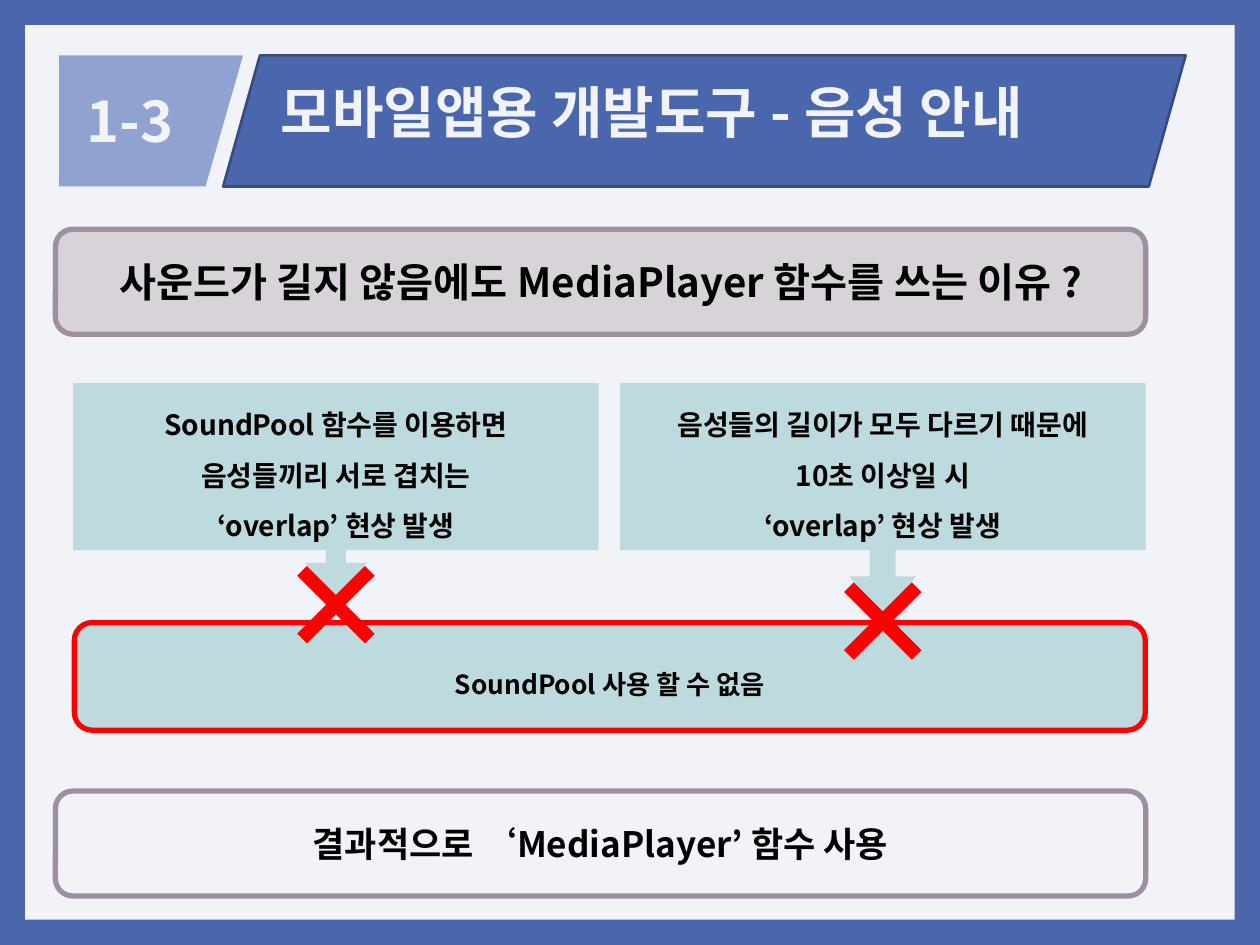
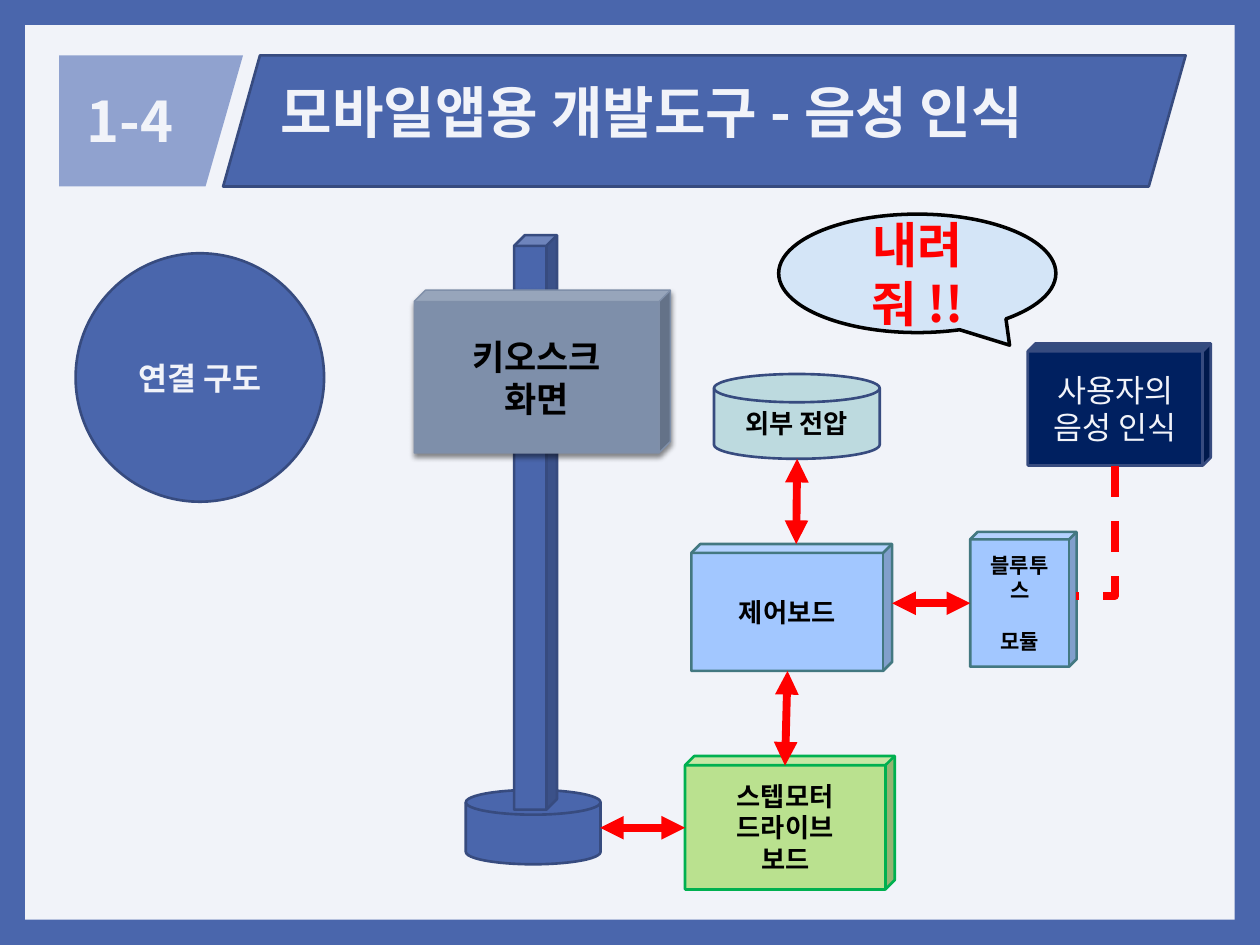
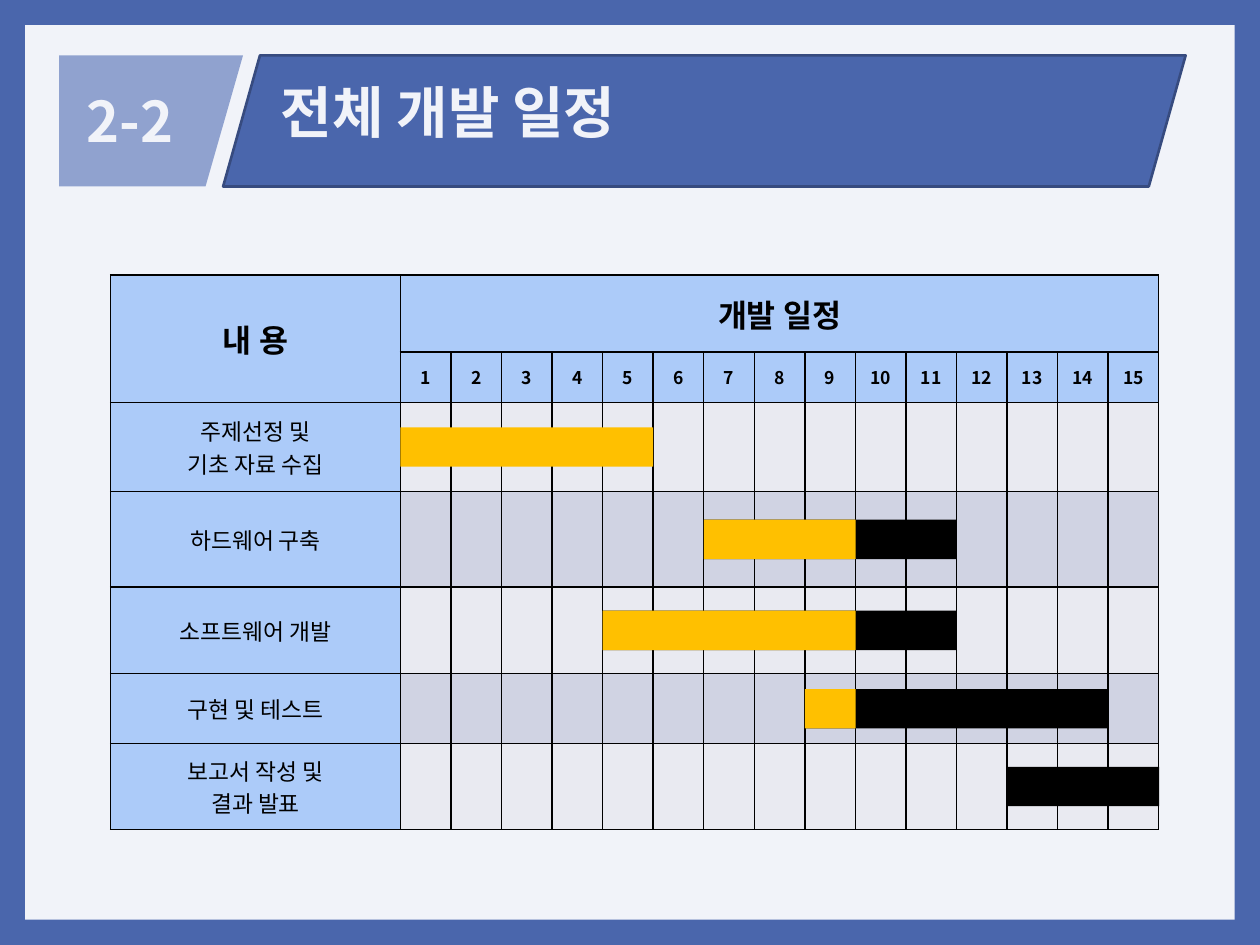
from lxml.etree import SubElement
from pptx import Presentation
from pptx.dml.color import RGBColor
from pptx.enum.dml import MSO_LINE
from pptx.enum.shapes import MSO_CONNECTOR, MSO_SHAPE
from pptx.enum.text import MSO_ANCHOR, PP_ALIGN
from pptx.oxml.ns import qn
from pptx.util import Pt

FONT = "Noto Sans CJK KR"
C = {
    "blue": "4A66AC", "edge": "374B7F", "panel": "F1F3F9", "tab": "90A2CF",
    "black": "000000", "red": "FF0000", "mauve": "9D90A0", "pale_mauve": "D8D3D9",
    "teal": "BDDADF", "sky": "A2C7FF", "sky_edge": "437881", "lime": "BAE18F",
    "green": "00B050", "steel": "7E8FAA", "steel_edge": "7F8FA9", "navy": "002060",
    "bubble": "D4E5F7", "header": "ACCBF9", "row_light": "E9EAF1",
    "row_dark": "D0D3E3", "done": "FFC000",
}
C = {name: RGBColor.from_string(value) for name, value in C.items()}


def write(tf, text, size, color="black", bold=True, align=PP_ALIGN.CENTER, spacing=None):
    """Fill a text frame, one paragraph per line of text."""
    tf.word_wrap = True
    for i, line in enumerate(text.split("\n")):
        p = tf.add_paragraph() if i else tf.paragraphs[0]
        p.alignment = align
        p.line_spacing = spacing
        r = p.add_run()
        r.text = line
        for key, value in {"size": Pt(size), "bold": bold, "name": FONT}.items():
            setattr(r.font, key, value)
        r.font.color.rgb = C[color]
        SubElement(r.font._element, qn("a:ea"), typeface=FONT)


def draw(s, kind, box, fill=None, line=None, width=1.5, adj=(), **text):
    """Add a preset shape; box is left, top, width, height in points."""
    sp = s.shapes.add_shape(kind, *map(Pt, box))
    sp.shadow.inherit = False
    for i, value in enumerate(adj):
        sp.adjustments[i] = value
    if fill:
        sp.fill.solid()
        sp.fill.fore_color.rgb = C[fill]
    else:
        sp.fill.background()
    if line:
        sp.line.color.rgb = C[line]
        sp.line.width = Pt(width)
    else:
        sp.line.fill.background()
    if text:
        write(sp.text_frame, **text)
    return sp


prs = Presentation()
prs.slide_width, prs.slide_height = Pt(720), Pt(540)
background = prs.slide_master.background.fill
background.solid()
background.fore_color.rgb = C["blue"]

# Shared frame and title band
slides = []
for number, title in [("1-3", "모바일앱용 개발도구 - 음성 안내"),
                      ("1-4", "모바일앱용 개발도구 - 음성 인식"),
                      ("2-2", "전체 개발 일정")]:
    s = prs.slides.add_slide(prs.slide_layouts[6])
    slides.append(s)
    draw(s, MSO_SHAPE.RECTANGLE, (14.4, 14.4, 691.2, 511.2), "panel")
    draw(s, MSO_SHAPE.PARALLELOGRAM, (127.5, 31.7, 550, 74.9), "blue", "edge", adj=[0.281])
    outline = s.shapes.build_freeform(Pt(33.8), Pt(31.7))
    outline.add_line_segments([(Pt(x), Pt(y)) for x, y in
                               [(138.9, 31.7), (117.5, 106.6), (33.8, 106.6)]])
    tab = outline.convert_to_shape()
    tab.shadow.inherit = False
    tab.fill.solid()
    tab.fill.fore_color.rgb = C["tab"]
    tab.line.fill.background()
    for words, box in [(title, (153.4, 41, 502, 46)), (number, (42.5, 46, 102, 46))]:
        tf = s.shapes.add_textbox(*map(Pt, box)).text_frame
        write(tf, words, 32, "panel", align=PP_ALIGN.LEFT)

# 1-3: why MediaPlayer is used
s = slides[0]
for top, fill, size, words in [
        (131, "pale_mauve", 23, "사운드가 길지 않음에도 MediaPlayer 함수를 쓰는 이유 ?"),
        (452, None, 20, "결과적으로 ‘MediaPlayer’ 함수 사용")]:
    draw(s, MSO_SHAPE.ROUNDED_RECTANGLE, (31.7, top, 623, 60), fill, "mauve", 3,
         text=words, size=size)
reasons = [
    (41.8, 124.6, [0.092, 0.141, 0.175, 0.767], 318.2,
     "SoundPool 함수를 이용하면\n음성들끼리 서로 겹치는\n‘overlap’ 현상 발생"),
    (354.3, 134, [0.111, 0.141, 0.175, 0.713], 327.6,
     "음성들의 길이가 모두 다르기 때문에\n10초 이상일 시\n‘overlap’ 현상 발생"),
]
for left, height, adj, cross_top, words in reasons:
    draw(s, MSO_SHAPE.DOWN_ARROW_CALLOUT, (left, 218.9, 300.3, height), "teal", adj=adj,
         text=words, size=16, spacing=1.5)
draw(s, MSO_SHAPE.ROUNDED_RECTANGLE, (42.5, 355.7, 612, 61.6), "teal", "red", 3,
     text="SoundPool 사용 할 수 없음", size=15, spacing=1.5)
for left, _, _, cross_top, _ in reasons:
    cross = draw(s, MSO_SHAPE.CROSS, (left + 122.8, cross_top, 54.7, 54.7), "red", adj=[0.429])
    cross.rotation = 45

# 1-4: connection diagram
s = slides[1]
disk = MSO_SHAPE.FLOWCHART_MAGNETIC_DISK
draw(s, disk, (266.2, 451.4, 77, 42.5), "blue", "edge")
draw(s, MSO_SHAPE.OVAL, (43.2, 144.7, 142, 142), "blue", "edge",
     text="연결 구도", size=18, color="panel")
draw(s, MSO_SHAPE.CUBE, (293.8, 134.4, 24.5, 328.3), "blue", "edge")
kiosk = draw(s, MSO_SHAPE.CUBE, (236.7, 165.8, 146.4, 93), "steel", "steel_edge", 0.79,
             adj=[0.07], text="키오스크\n화면", size=20)
effects = kiosk._element.spPr.find(qn("a:effectLst"))
shadow = SubElement(effects, qn("a:outerShdw"), blurRad=str(Pt(3)), dist=str(Pt(2)),
                    dir="5400000", rotWithShape="0")
shade = SubElement(shadow, qn("a:srgbClr"), val=str(C["black"]))
SubElement(shade, qn("a:alpha"), val="45000")

for box, fill, line, size, words in [
        ((395.1, 310.9, 114.7, 72.5), "sky", "sky_edge", 15, "제어보드"),
        ((554.4, 304, 60.8, 77), "sky", "sky_edge", 12, "블루투스\n모듈"),
        ((391.5, 432, 119.8, 76.3), "lime", "green", 15, "스텝모터\n드라이브\n보드")]:
    part = draw(s, MSO_SHAPE.CUBE, box, fill, line, adj=[0.07], text=words, size=size)
    if words.startswith("블루투스"):
        part.text_frame.paragraphs[1].space_before = Pt(14.4)
draw(s, disk, (408, 213.7, 94.7, 48.5), "teal", "edge", text="외부 전압", size=15)
draw(s, MSO_SHAPE.CUBE, (587.3, 196.2, 104.5, 69.8), "navy", "edge", adj=[0.065],
     text="사용자의\n음성 인식", size=18, color="panel", bold=False)

links = [
    (391.5, 473, 342.9, 473),
    (450, 383.4, 448.6, 437.5),
    (455.5, 262.2, 455, 310.9),
    (509.8, 344.7, 554.4, 344.7),
]
voice_link = (588.8, 292.1, 663, 314.4)
for ends in links + [voice_link]:
    is_voice = ends == voice_link
    kind = MSO_CONNECTOR.ELBOW if is_voice else MSO_CONNECTOR.STRAIGHT
    link = s.shapes.add_connector(kind, *map(Pt, ends))
    link.line.color.rgb = C["red"]
    link.line.width = Pt(4.5)
    spPr = link._element.spPr
    if is_voice:
        link.line.dash_style = MSO_LINE.DASH
        spPr.find(qn("a:prstGeom")).set("prst", "bentConnector2")
        spPr.find(qn("a:xfrm")).set("rot", "5400000")
    else:
        for end in ("a:headEnd", "a:tailEnd"):
            SubElement(spPr.find(qn("a:ln")), qn(end), type="triangle")
    SubElement(spPr, qn("a:effectLst"))
draw(s, MSO_SHAPE.OVAL_CALLOUT, (445, 122.4, 158.4, 67.7), "bubble", "black", 2,
     adj=[0.333, 0.606], text="내려줘 !!", size=28, color="red")

# 2-2: schedule; each task has first week, last finished week, last week
s = slides[2]
tasks = [
    ("주제선정 및\n기초 자료 수집", 1, 5, 5),
    ("하드웨어 구축", 7, 9, 11),
    ("소프트웨어 개발", 5, 9, 11),
    ("구현 및 테스트", 9, 9, 14),
    ("보고서 작성 및\n결과 발표", 13, None, 15),
]
WEEKS, LABEL_W, WEEK_W, BAR_H = 15, 165.6, 28.9, 22.5
LEFT, TOP = 63.2, 157
heights = [44, 29, 51, 54.5, 49.5, 40, 49]
table = s.shapes.add_table(len(heights), WEEKS + 1, Pt(LEFT), Pt(TOP),
                           Pt(LABEL_W + WEEKS * WEEK_W), Pt(sum(heights))).table
table.first_row = table.horz_banding = False
for i, column in enumerate(table.columns):
    column.width = Pt(WEEK_W if i else LABEL_W)
for row, height in zip(table.rows, heights):
    row.height = Pt(height)
table.cell(0, 0).merge(table.cell(1, 0))
table.cell(0, 1).merge(table.cell(0, WEEKS))

for i in range(len(heights)):
    for j in range(WEEKS + 1):
        cell = table.cell(i, j)
        cell.vertical_anchor = MSO_ANCHOR.MIDDLE
        tcPr = cell._tc.get_or_add_tcPr()
        for side in ("a:lnL", "a:lnR", "a:lnT", "a:lnB"):
            ln = SubElement(tcPr, qn(side), w=str(Pt(1)))
            SubElement(SubElement(ln, qn("a:solidFill")), qn("a:srgbClr"), val=str(C["black"]))
        is_header = i < 2 or j == 0
        cell.fill.solid()
        cell.fill.fore_color.rgb = C["header" if is_header else ("row_light", "row_dark")[i % 2]]
write(table.cell(0, 0).text_frame, "내 용", 18)
write(table.cell(0, 1).text_frame, "개발 일정", 18)
for week in range(1, WEEKS + 1):
    write(table.cell(1, week).text_frame, str(week), 10)

for i, (name, first, done, last) in enumerate(tasks, start=2):
    write(table.cell(i, 0).text_frame, name, 13, bold=False)
    left = LEFT + LABEL_W + (first - 1) * WEEK_W
    top = TOP + sum(heights[:i]) + (heights[i] - BAR_H) / 2
    for end, fill in [(last, "black"), (done, "done")]:
        if end and (fill, end) != ("black", done):
            draw(s, MSO_SHAPE.RECTANGLE, (left, top, (end - first + 1) * WEEK_W, BAR_H), fill)

prs.save("out.pptx")
